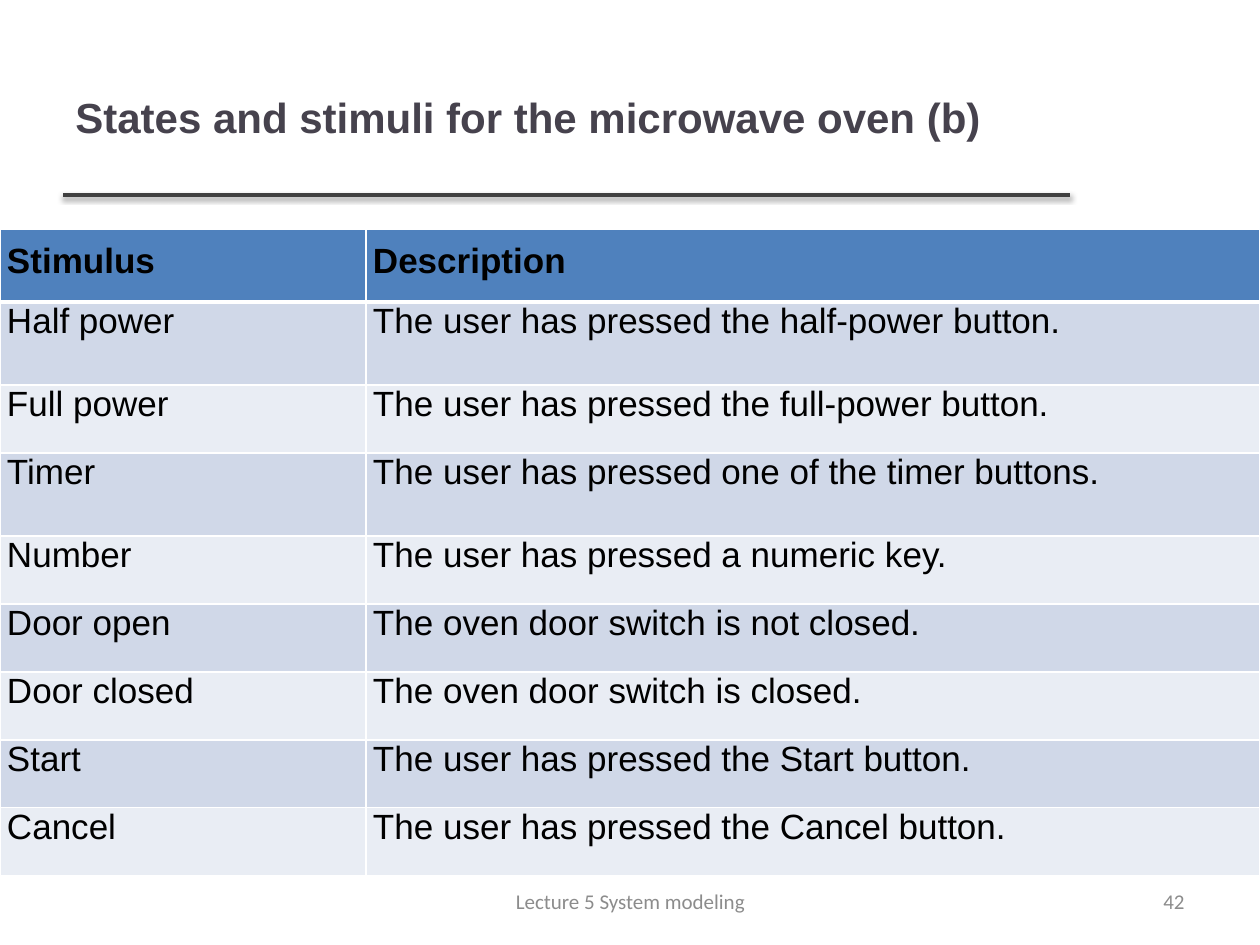
import pptx
import pptx.dml.color
import pptx.enum.shapes
import pptx.enum.text
import pptx.oxml
import pptx.oxml.ns
import pptx.util

EMU_PER_PX = 914400 / 126
COLORS = {
    "title": "46424D",
    "rule": "404040",
    "shadow": "000000",
    "text": "000000",
    "footer": "8C8C8C",
    "header": "4F81BD",
    "odd": "D0D8E8",
    "even": "E9EDF4",
    "border": "FFFFFF",
}
ALIGN = pptx.enum.text.PP_ALIGN
MIDDLE = pptx.enum.text.MSO_ANCHOR.MIDDLE
NAMESPACE = pptx.oxml.ns.nsdecls("a")

STIMULI = [
    ("Stimulus", "Description"),
    ("Half power", "The user has pressed the half-power button."),
    ("Full power", "The user has pressed the full-power button."),
    ("Timer", "The user has pressed one of the timer buttons."),
    ("Number", "The user has pressed a numeric key."),
    ("Door open", "The oven door switch is not closed."),
    ("Door closed", "The oven door switch is closed."),
    ("Start", "The user has pressed the Start button."),
    ("Cancel", "The user has pressed the Cancel button."),
]
COLUMN_WIDTHS = [366, 894]
ROW_HEIGHTS = [73, 83, 68, 83] + [68] * 5


def px(length):
    return pptx.util.Emu(round(length * EMU_PER_PX))


def color(name):
    return pptx.dml.color.RGBColor.from_string(COLORS[name])


class SlideBuilder:
    def __init__(self, page):
        self.page = page

    def style(self, para, size, ink, font="Arial", bold=False, align=ALIGN.LEFT):
        para.alignment = align
        para.font.name = font
        para.font.size = pptx.util.Pt(size)
        para.font.bold = bold
        para.font.color.rgb = color(ink)

    def text(self, words, left, top, width, height, size, ink, **look):
        box = self.page.shapes.add_textbox(px(left), px(top), px(width), px(height))
        frame = box.text_frame
        frame.word_wrap = True
        frame.vertical_anchor = MIDDLE
        frame.text = words
        self.style(frame.paragraphs[0], size, ink, **look)

    def rule(self, left, right, y):
        line = self.page.shapes.add_connector(
            pptx.enum.shapes.MSO_CONNECTOR.STRAIGHT, px(left), px(y), px(right), px(y))
        line.line.color.rgb = color("rule")
        line.line.width = pptx.util.Pt(2)
        blur, distance = pptx.util.Pt(3.1), pptx.util.Pt(1.6)
        line._element.spPr.append(pptx.oxml.parse_xml(
            f'<a:effectLst {NAMESPACE}>'
            f'<a:outerShdw blurRad="{blur}" dist="{distance}" dir="5400000" rotWithShape="0">'
            f'<a:srgbClr val="{COLORS["shadow"]}"><a:alpha val="38000"/></a:srgbClr>'
            f'</a:outerShdw></a:effectLst>'))

    def borders(self, cell, top, bottom):
        properties = cell._tc.get_or_add_tcPr()
        weights = {"lnL": 1, "lnR": 1, "lnT": top, "lnB": bottom}
        for index, (side, weight) in enumerate(weights.items()):
            properties.insert(index, pptx.oxml.parse_xml(
                f'<a:{side} {NAMESPACE} w="{pptx.util.Pt(weight)}"><a:solidFill>'
                f'<a:srgbClr val="{COLORS["border"]}"/></a:solidFill></a:{side}>'))

    def table(self, rows, left, top, widths, heights):
        table = self.page.shapes.add_table(
            len(rows), len(widths), px(left), px(top),
            px(sum(widths)), px(sum(heights))).table
        for column, width in zip(table.columns, widths):
            column.width = px(width)
        for number, (row, height) in enumerate(zip(rows, heights)):
            table.rows[number].height = px(height)
            header = number == 0
            fill = "header" if header else ("even", "odd")[number % 2]
            for position, words in enumerate(row):
                cell = table.cell(number, position)
                cell.margin_left = cell.margin_right = px(7)
                cell.margin_top = px(13 if header else 0)
                cell.margin_bottom = px(13)
                cell.fill.solid()
                cell.fill.fore_color.rgb = color(fill)
                self.borders(cell, 3 if number == 1 else 1, 3 if header else 1)
                cell.text = words
                self.style(cell.text_frame.paragraphs[0], 20, "text",
                           bold=header, align=ALIGN.JUSTIFY)


def main():
    deck = pptx.Presentation()
    deck.slide_width, deck.slide_height = px(1260), px(945)
    slide = SlideBuilder(deck.slides.add_slide(deck.slide_layouts[6]))
    slide.rule(63, 1070, 195)
    slide.text("States and stimuli for the microwave oven (b)",
               63, 38, 1006, 157, 24, "title", bold=True)
    slide.table(STIMULI, 0, 229, COLUMN_WIDTHS, ROW_HEIGHTS)
    slide.text("42", 903, 876, 294, 50, 12, "footer", font="Calibri", align=ALIGN.RIGHT)
    slide.text("Lecture 5 System modeling", 431, 876, 399, 50, 12, "footer",
               font="Calibri", align=ALIGN.CENTER)
    deck.save("out.pptx")


if __name__ == "__main__":
    main()
